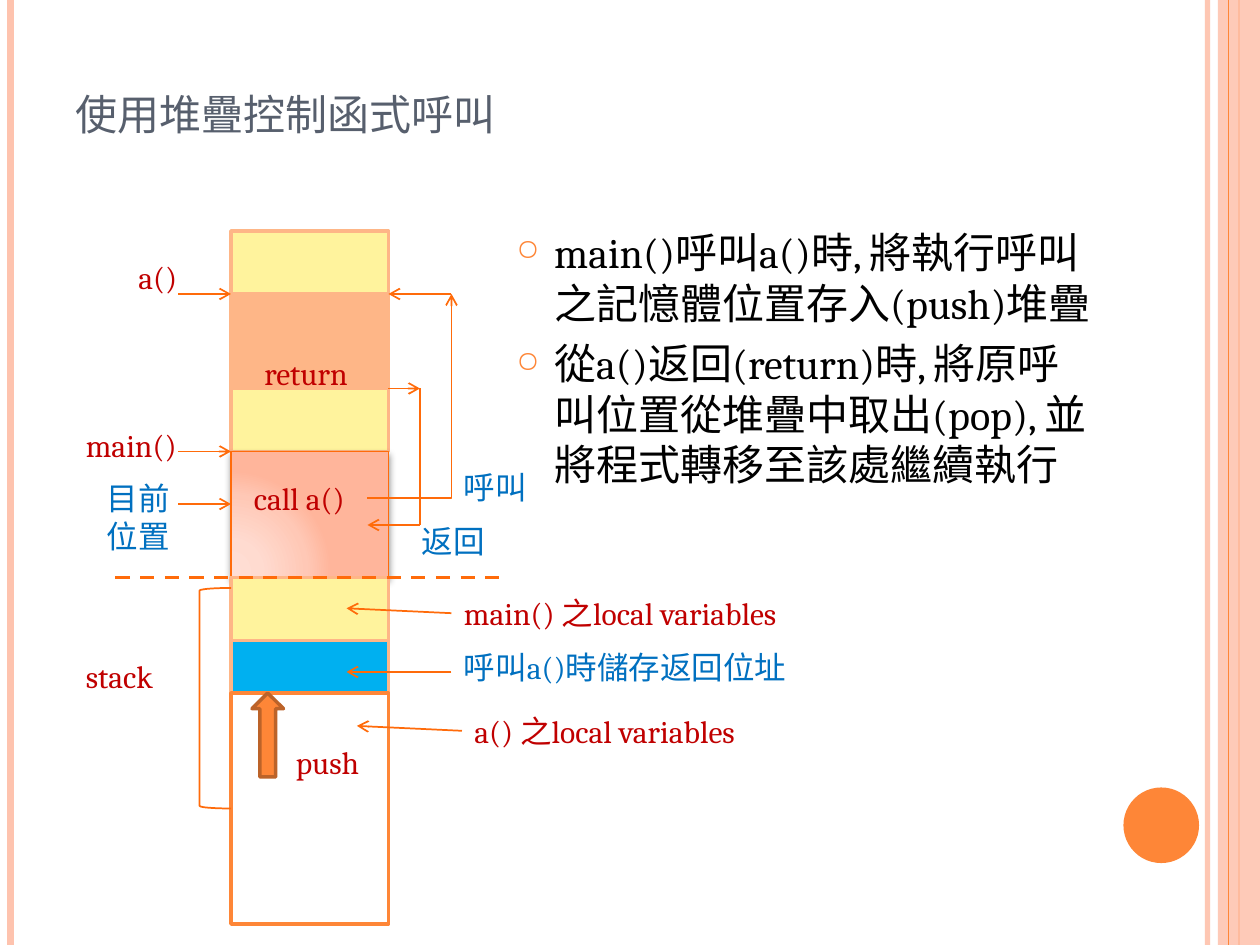
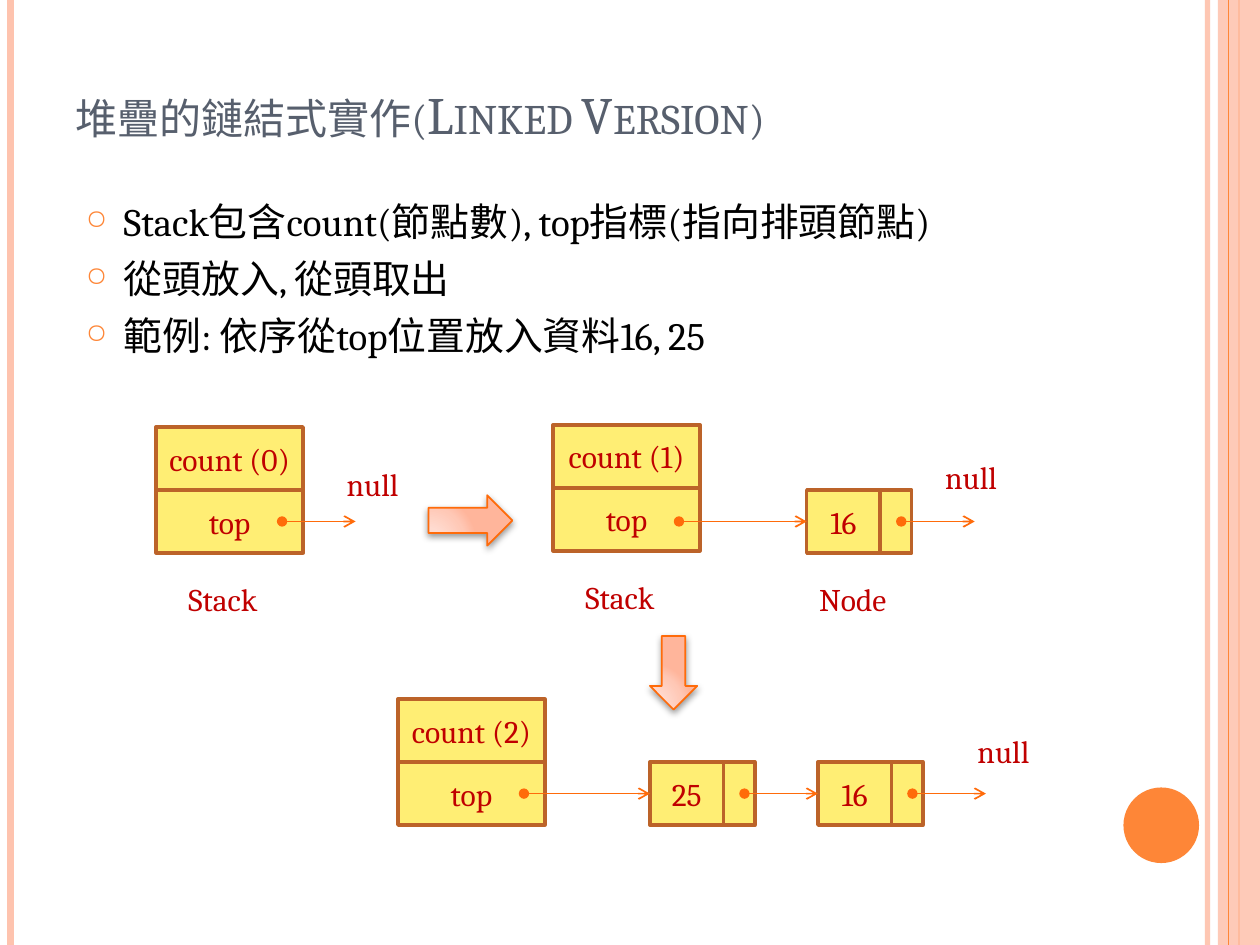
from typing import NamedTuple, Optional

from lxml.etree import SubElement
from pptx import Presentation
from pptx.dml.color import RGBColor
from pptx.enum.dml import MSO_LINE
from pptx.enum.shapes import MSO_CONNECTOR, MSO_SHAPE
from pptx.enum.text import MSO_ANCHOR, MSO_AUTO_SIZE, PP_ALIGN
from pptx.oxml.ns import qn
from pptx.util import Pt

# Shared look
FONT = "Cambria"
SLATE, BLACK, RED, BLUE = "575F6D", "000000", "C00000", "0070C0"
ORANGE, PEACH, VIVID, BROWN = "FE8637", "FEC3AE", "FF6B0A", "BC6329"
APRICOT, CREAM, YELLOW, SKY = "FEB687", "FFF39D", "FFEE74", "00B0F0"
GLOW = {0: "FFDED5", 30: "FFDBD0", 75: "FFC8B6", 100: "FFB59B"}
LABEL_HEIGHT = 28.8
CELL_HEIGHT = 36
POINTER_LENGTH = 42


class Rule(NamedTuple):
    x: float
    width: float
    color: str
    opacity: int = 100


class Segment(NamedTuple):
    height: float
    fill: Optional[str]
    line: str = APRICOT
    glowing: bool = False


class Label(NamedTuple):
    text: str
    left: float
    top: float
    width: float = 72
    color: str = RED
    height: float = LABEL_HEIGHT


class Arrow(NamedTuple):
    x1: float
    y1: float
    x2: float
    y2: float
    tail: Optional[str] = "arrow"


class Stack(NamedTuple):
    count: int
    left: float
    top: float
    pointer_y: float


RULES = [Rule(690, 3, PEACH, 93), Rule(6, 4.5, PEACH), Rule(708, 1.5, ORANGE)]
BAND_RULE = Rule(702, 0.75, ORANGE)


def rgb(color: str) -> RGBColor:
    return RGBColor.from_string(color)


def add_xml(parent, tag: str, **attributes):
    return SubElement(parent, qn(tag), {key: str(value) for key, value in attributes.items()})


def set_opacity(element, percent: int) -> None:
    if percent < 100:
        add_xml(next(element.iter(qn("a:srgbClr"))), "a:alpha", val=percent * 1000)


def style_runs(paragraph, size: float, color: str) -> None:
    for run in paragraph.runs:
        run.font.name, run.font.size = FONT, Pt(size)
        run.font.color.rgb = rgb(color)


def draw_shape(slide, kind, left: float, top: float, width: float, height: float,
               fill: Optional[str], line: Optional[str] = None, weight: float = 2):
    shape = slide.shapes.add_shape(kind, Pt(left), Pt(top), Pt(width), Pt(height))
    shape.shadow.inherit = False
    if fill:
        shape.fill.solid()
        shape.fill.fore_color.rgb = rgb(fill)
    else:
        shape.fill.background()
    if line:
        shape.line.color.rgb = rgb(line)
        shape.line.width = Pt(weight)
    else:
        shape.line.fill.background()
    return shape


def add_glow(shape) -> None:
    """Give a shape the radial peach gradient and a soft shadow below."""
    shape.fill.gradient()
    properties = shape._element.spPr
    gradient = properties.find(qn("a:gradFill"))
    for child in list(gradient):
        gradient.remove(child)
    stops = add_xml(gradient, "a:gsLst")
    for position, color in GLOW.items():
        stop = add_xml(stops, "a:gs", pos=position * 1000)
        add_xml(stop, "a:srgbClr", val=color)
    radial = add_xml(gradient, "a:path", path="circle")
    add_xml(radial, "a:fillToRect", l=5000, t=100000, r=120000, b=10000)
    shadow = add_xml(properties.find(qn("a:effectLst")), "a:outerShdw", blurRad=Pt(4),
                     dist=Pt(2), dir=5400000, rotWithShape=0)
    add_xml(shadow, "a:srgbClr", val=BLACK)
    set_opacity(shadow, 40)


def draw_line(slide, x1: float, y1: float, x2: float, y2: float, color: str = VIVID,
              weight: float = 1, head: Optional[str] = None, tail: Optional[str] = None,
              dashed: bool = False, opacity: int = 100, kind=MSO_CONNECTOR.STRAIGHT):
    connector = slide.shapes.add_connector(kind, Pt(x1), Pt(y1), Pt(x2), Pt(y2))
    connector.line.color.rgb = rgb(color)
    connector.line.width = Pt(weight)
    if dashed:
        connector.line.dash_style = MSO_LINE.DASH
    properties = connector._element.spPr
    outline = properties.find(qn("a:ln"))
    set_opacity(outline, opacity)
    if head:
        add_xml(outline, "a:headEnd", type=head)
    if tail:
        add_xml(outline, "a:tailEnd", type=tail)
    add_xml(properties, "a:effectLst")
    return connector


def add_text_box(slide, left: float, top: float, width: float, height: float):
    box = slide.shapes.add_textbox(Pt(left), Pt(top), Pt(width), Pt(height))
    box.text_frame.word_wrap = True
    return box


def draw_label(slide, label: Label):
    box = add_text_box(slide, label.left, label.top, label.width, label.height)
    box.text_frame.auto_size = MSO_AUTO_SIZE.SHAPE_TO_FIT_TEXT
    box.text_frame.text = label.text
    style_runs(box.text_frame.paragraphs[0], 18, label.color)
    return box


def draw_title(slide, text: str, height: float) -> None:
    frame = add_text_box(slide, 36, 21.6, 588, height).text_frame
    frame.vertical_anchor = MSO_ANCHOR.BOTTOM
    frame.text = text
    style_runs(frame.paragraphs[0], 30, SLATE)
    frame.paragraphs[0].runs[0].font._element.set("cap", "small")


def draw_bullets(slide, points: list[str], left: float, top: float, width: float,
                 height: float, size: float) -> None:
    frame = add_text_box(slide, left, top, width, height).text_frame
    frame.text = "\n".join(points)
    for paragraph in frame.paragraphs:
        style_runs(paragraph, size, BLACK)
        paragraph.space_before = Pt(6)
        properties = paragraph._p.get_or_add_pPr()
        properties.set("marL", str(Pt(21.6)))
        properties.set("indent", str(-Pt(21.6)))
        add_xml(add_xml(properties, "a:buClr"), "a:srgbClr", val=ORANGE)
        add_xml(properties, "a:buSzPct", val=70000)
        add_xml(properties, "a:buChar", char="○")


def draw_rule(slide, rule: Rule) -> None:
    draw_line(slide, rule.x, 0, rule.x, 540, rule.color, rule.width, opacity=rule.opacity)


def add_framed_slide(deck):
    """Add a blank slide with the side bands and the corner disc."""
    slide = deck.slides.add_slide(deck.slide_layouts[6])
    for rule in RULES:
        draw_rule(slide, rule)
    band = draw_shape(slide, MSO_SHAPE.RECTANGLE, 696, 0, 24, 540, PEACH)
    set_opacity(band._element.spPr, 87)
    draw_rule(slide, BAND_RULE)
    draw_shape(slide, MSO_SHAPE.OVAL, 642, 450, 43.2, 43.2, ORANGE)
    return slide


def build_call_slide(deck) -> None:
    slide = add_framed_slide(deck)
    draw_title(slide, "使用堆疊控制函式呼叫", 62.6)
    draw_bullets(slide, [
        "main()呼叫a()時, 將執行呼叫之記憶體位置存入(push)堆疊",
        "從a()返回(return)時, 將原呼叫位置從堆疊中取出(pop), 並將程式轉移至該處繼續執行",
    ], 288, 126, 348, 172.8, 24)

    # Memory column, top to bottom
    memory = [Segment(36, CREAM), Segment(54, APRICOT), Segment(36, CREAM),
              Segment(72, PEACH, VIVID, True), Segment(36, CREAM), Segment(30, SKY),
              Segment(132, None, ORANGE)]
    top = 132
    for segment in memory:
        block = draw_shape(slide, MSO_SHAPE.RECTANGLE, 132, top, 90, segment.height,
                           segment.fill, segment.line, 1 if segment.glowing else 2)
        if segment.glowing:
            add_glow(block)
        top += segment.height

    # Stack extent and push direction
    draw_shape(slide, MSO_SHAPE.LEFT_BRACKET, 114, 336, 18, 126, None, VIVID, 1)
    draw_shape(slide, MSO_SHAPE.UP_ARROW, 144, 396, 18, 48, ORANGE, BROWN)
    draw_line(slide, 66, 330, 288, 330, weight=2, dashed=True)

    for label in [
        Label("main()", 42, 240), Label("a()", 72, 144, 60),
        Label("call a()", 138, 270), Label("return", 144, 198.5),
        Label("stack", 42, 372), Label("push", 162, 421),
        Label("目前位置", 54, 270, 66, BLUE, 51),
        Label("呼叫", 258, 264, 66, BLUE), Label("返回", 234, 295, 66, BLUE),
        Label("呼叫a()時儲存返回位址", 258, 367, 312, BLUE),
    ]:
        draw_label(slide, label)

    # Entry points, call path and return path
    for arrow in [
        Arrow(102, 168, 132, 168), Arrow(102, 258, 132, 258), Arrow(102, 288, 132, 288),
        Arrow(258, 168, 222, 168), Arrow(258, 384, 198, 384), Arrow(222, 222, 240, 222),
        Arrow(240, 222, 240, 300, None), Arrow(240, 300, 210, 300),
    ]:
        draw_line(slide, *arrow[:4], tail=arrow.tail)
    call = draw_line(slide, 210, 284.5, 258, 168, tail="arrow", kind=MSO_CONNECTOR.ELBOW)
    call._element.spPr.find(qn("a:prstGeom")).set("prst", "bentConnector2")

    # Local variables, each pointing into its stack segment
    for label in [Label("main() 之local variables", 258, 336, 228),
                  Label("a() 之local variables", 264, 403.2, 228)]:
        box = draw_label(slide, label)
        middle = label.top + LABEL_HEIGHT / 2
        pointer = draw_line(slide, label.left, middle, label.left - 60, middle - 2.8,
                            tail="arrow")
        pointer.begin_connect(box, 1)


def draw_cell(slide, text: str, left: float, top: float, width: float):
    cell = draw_shape(slide, MSO_SHAPE.RECTANGLE, left, top, width, CELL_HEIGHT, YELLOW, BROWN)
    if text:
        frame = cell.text_frame
        frame.margin_left = frame.margin_right = Pt(3)
        frame.vertical_anchor = MSO_ANCHOR.MIDDLE
        frame.text = text
        frame.paragraphs[0].alignment = PP_ALIGN.CENTER
        style_runs(frame.paragraphs[0], 18, RED)
    return cell


def draw_linked_stack(slide, stack: Stack, nodes: dict[float, str]) -> None:
    """Draw a stack, its nodes (left edge: value) and the chain down to null."""
    draw_cell(slide, f"count ({stack.count})", stack.left, stack.top, 84)
    draw_cell(slide, "top", stack.left, stack.top + CELL_HEIGHT, 84)
    y = stack.pointer_y
    start = stack.left + 72
    for left, value in nodes.items():
        node = draw_cell(slide, value, left, y - CELL_HEIGHT / 2, 42)
        draw_cell(slide, "", left + 42, y - CELL_HEIGHT / 2, 18)
        link = draw_line(slide, start, y, left, y, head="oval", tail="arrow")
        link.end_connect(node, 1)
        start = left + 54
    draw_line(slide, start, y, start + POINTER_LENGTH, y, head="oval", tail="arrow")


def build_linked_slide(deck) -> None:
    slide = add_framed_slide(deck)
    draw_title(slide, "堆疊的鏈結式實作(Linked Version)", 64.8)
    draw_bullets(slide, [
        "Stack包含count(節點數), top指標(指向排頭節點)",
        "從頭放入, 從頭取出",
        "範例: 依序從top位置放入資料16, 25",
    ], 42, 109.5, 600, 97, 22.2)

    # Three states of the stack
    draw_linked_stack(slide, Stack(0, 89.2, 244, 298), {})
    draw_linked_stack(slide, Stack(1, 316, 242.8, 298), {461: "16"})
    draw_linked_stack(slide, Stack(2, 227.4, 399.5, 453.5), {371.4: "25", 467.4: "16"})

    for label in [
        Label("null", 191, 262.2), Label("null", 533, 258), Label("null", 551.5, 414.6),
        Label("Stack", 100.6, 328, 78), Label("Stack", 327.4, 326.8, 78),
        Label("Node", 461, 328, 78),
    ]:
        draw_label(slide, label)

    # Steps between states
    add_glow(draw_shape(slide, MSO_SHAPE.RIGHT_ARROW, 244.8, 283, 48, 28.8, PEACH, VIVID, 1))
    add_glow(draw_shape(slide, MSO_SHAPE.DOWN_ARROW, 371.4, 363.5, 27, 42, PEACH, VIVID, 1))


def main() -> None:
    deck = Presentation()
    deck.slide_width, deck.slide_height = Pt(720), Pt(540)
    build_call_slide(deck)
    build_linked_slide(deck)
    deck.save("out.pptx")


if __name__ == "__main__":
    main()
